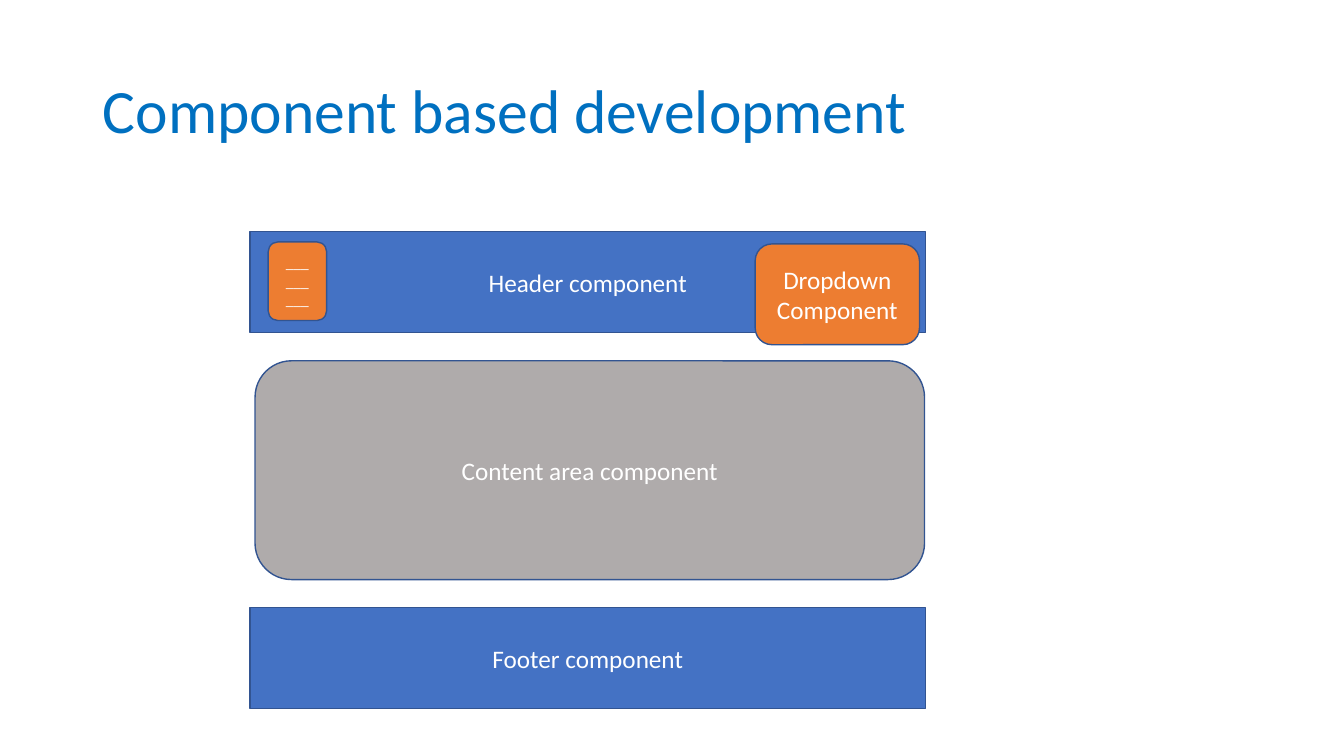
from pptx import Presentation
from pptx.dml.color import RGBColor
from pptx.enum.shapes import MSO_SHAPE
from pptx.enum.text import MSO_ANCHOR, PP_ALIGN
from pptx.util import Inches, Pt

RECT, ROUND = MSO_SHAPE.RECTANGLE, MSO_SHAPE.ROUNDED_RECTANGLE
MIDDLE = MSO_ANCHOR.MIDDLE
LEFT, CENTER = PP_ALIGN.LEFT, PP_ALIGN.CENTER

THEME = {
    "font": "Calibri",
    "title": "0070C0", "text": "FFFFFF", "line": "325491",
    "bar": "4472C4", "control": "ED7D31", "content": "AFABAB",
    "title_size": 44, "label_size": 18, "icon_size": 11,
}

TITLE = "Component based development"
SLIDE_W, SLIDE_H = 13.33, 7.5
TITLE_BOX = (0.92, 0.4, 11.5, 1.45)

# Page mock-up: a shared left edge, width and bar height
PAGE_X, PAGE_W, BAR_H = 2.48, 6.7, 1
HEADER_Y, CONTENT_Y, FOOTER_Y = 2.3, 3.58, 6.03

# (shape, fill, text size, lines, (left, top, width, height)); left is from the page edge
COMPONENTS = [
    (RECT, "bar", "label_size", ["Header component"], (0, HEADER_Y, PAGE_W, BAR_H)),
    (RECT, "bar", "label_size", ["Footer component"], (0, FOOTER_Y, PAGE_W, BAR_H)),
    (ROUND, "control", "label_size", ["Dropdown", "Component"],
     (5.01, HEADER_Y + 0.12, 1.63, BAR_H)),
    (ROUND, "control", "icon_size", ["___"] * 3, (0.18, HEADER_Y + 0.1, 0.58, 0.78)),
    (ROUND, "content", "label_size", ["Content area component"],
     (0.05, CONTENT_Y, 6.64, 2.17)),
]


def rgb(name):
    return RGBColor.from_string(THEME[name])


def write(shape, lines, size, color, align):
    tf = shape.text_frame
    tf.word_wrap = True
    tf.vertical_anchor = MIDDLE
    tf.text = "\n".join(lines)
    for p in tf.paragraphs:
        p.alignment = align
        for key, value in {"name": THEME["font"], "size": Pt(THEME[size])}.items():
            setattr(p.runs[0].font, key, value)
        p.runs[0].font.color.rgb = rgb(color)


def add_component(s, kind, fill, size, lines, box):
    x, y, w, h = box
    sp = s.shapes.add_shape(kind, *map(Inches, (PAGE_X + x, y, w, h)))
    sp.shadow.inherit = False
    sp.fill.solid()
    sp.fill.fore_color.rgb = rgb(fill)
    sp.line.color.rgb = rgb("line")
    sp.line.width = Pt(1)
    write(sp, lines, size, "text", CENTER)


def main():
    prs = Presentation()
    prs.slide_width, prs.slide_height = Inches(SLIDE_W), Inches(SLIDE_H)
    s = prs.slides.add_slide(prs.slide_layouts[5])
    title = s.shapes.title
    for side, length in zip(("left", "top", "width", "height"), TITLE_BOX):
        setattr(title, side, Inches(length))
    write(title, [TITLE], "title_size", "title", LEFT)
    title.text_frame.paragraphs[0].line_spacing = 0.9
    for component in COMPONENTS:
        add_component(s, *component)
    prs.save("out.pptx")


if __name__ == "__main__":
    main()
